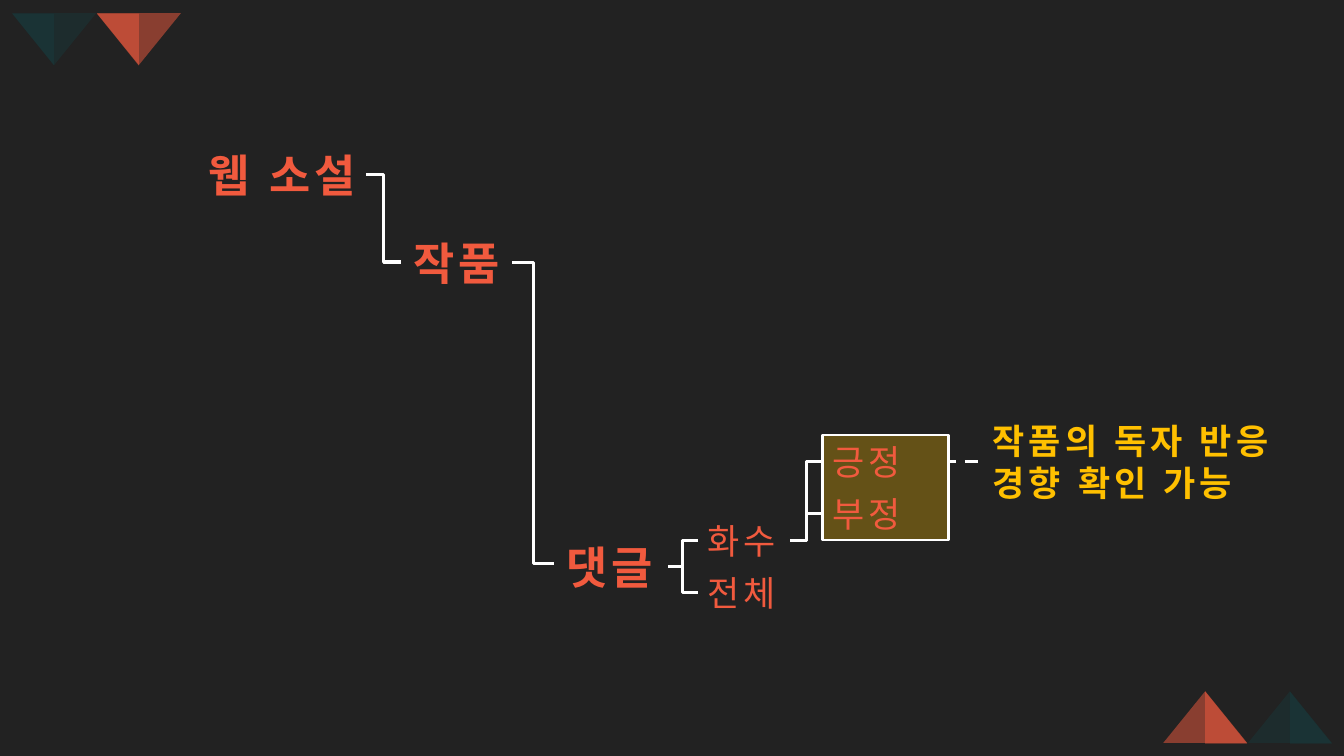
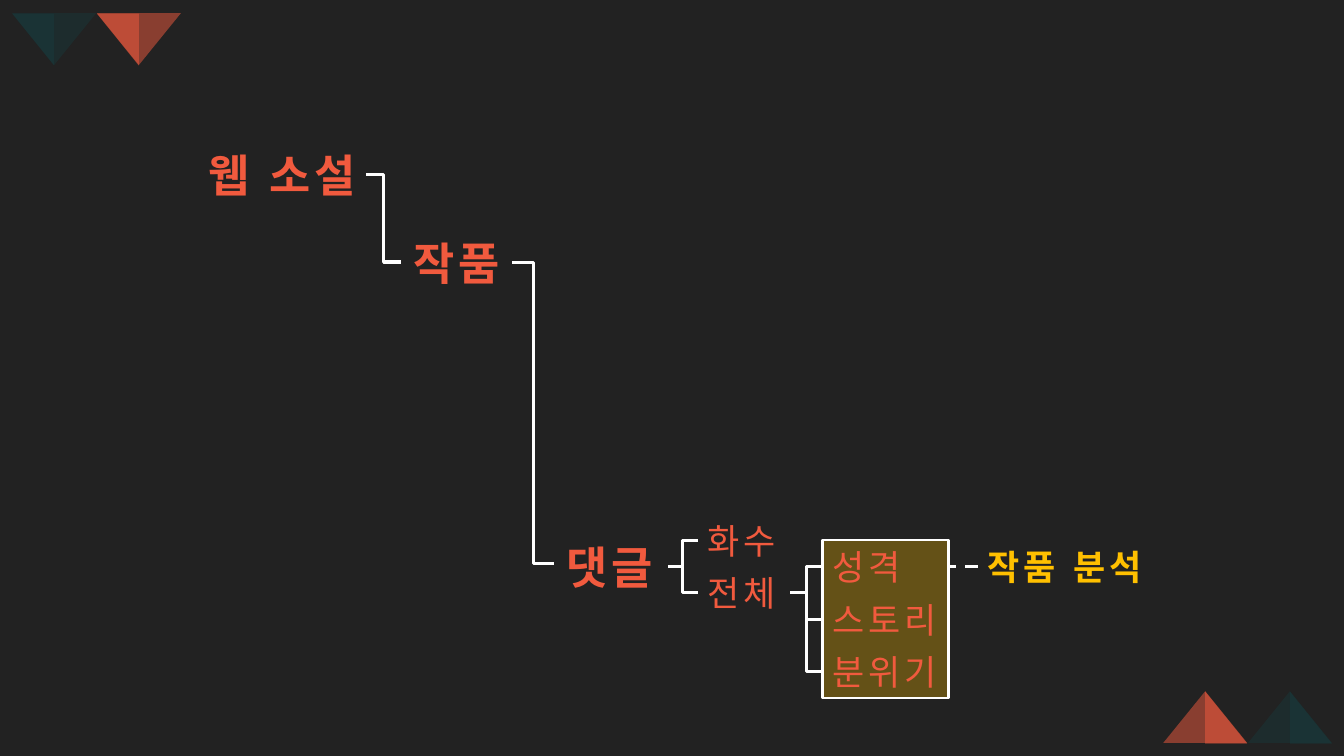
from dataclasses import dataclass

from lxml import etree
from pptx import Presentation
from pptx.dml.color import RGBColor
from pptx.enum.dml import MSO_LINE
from pptx.enum.shapes import MSO_CONNECTOR, MSO_SHAPE
from pptx.enum.text import MSO_ANCHOR, MSO_AUTO_SIZE, PP_ALIGN
from pptx.oxml.ns import qn
from pptx.slide import Slide
from pptx.util import Pt

TRIANGLE = MSO_SHAPE.ISOSCELES_TRIANGLE
RIGHT_TRIANGLE = MSO_SHAPE.RIGHT_TRIANGLE
RECTANGLE = MSO_SHAPE.RECTANGLE
ELBOW = MSO_CONNECTOR.ELBOW
STRAIGHT = MSO_CONNECTOR.STRAIGHT
DASH = MSO_LINE.DASH
MIDDLE = MSO_ANCHOR.MIDDLE
FIT_SHAPE = MSO_AUTO_SIZE.SHAPE_TO_FIT_TEXT
LEFT, CENTER, RIGHT = PP_ALIGN.LEFT, PP_ALIGN.CENTER, PP_ALIGN.RIGHT


@dataclass(frozen=True)
class Theme:
    background: RGBColor = RGBColor(0x22, 0x22, 0x22)
    coral: RGBColor = RGBColor(0xF1, 0x5A, 0x3E)
    teal: RGBColor = RGBColor(0x19, 0x37, 0x39)
    gold: RGBColor = RGBColor(0xFF, 0xC0, 0x00)
    white: RGBColor = RGBColor(0xFF, 0xFF, 0xFF)
    font: str = "Roboto"
    work_font: str = "Calibri"
    branch_size: float = 32
    leaf_size: float = 25
    letter_spacing: int = 300
    link_width: float = 2.25
    frame_width: float = 1.5


THEME = Theme()

ROW = 37.6
BRANCH_HEIGHT = 46
COMMENT_Y = 404.6
EPISODE_Y = COMMENT_Y - ROW / 2
WHOLE_Y = COMMENT_Y + ROW / 2
NOVEL_Y, WORK_Y = 124.6, 187.2
GROUP_LEFT, GROUP_WIDTH = 587.5, 90
GROUP_RIGHT = GROUP_LEFT + GROUP_WIDTH
TRUNK_X = 564.5
FINDING_LINK_X = 698.4


@dataclass(frozen=True)
class TextStyle:
    size: float
    color: RGBColor
    bold: bool = False
    font: str = THEME.font


BRANCH = TextStyle(THEME.branch_size, THEME.coral, True)
WORK = TextStyle(THEME.branch_size, THEME.coral, True, THEME.work_font)
LEAF = TextStyle(THEME.leaf_size, THEME.coral)
FINDING = TextStyle(THEME.leaf_size, THEME.gold, True)


@dataclass(frozen=True)
class Label:
    text: str
    left: float
    middle: float
    width: float
    height: float
    style: TextStyle
    align: PP_ALIGN = LEFT
    wrap: bool = True


@dataclass(frozen=True)
class Link:
    start_x: float
    start_y: float
    end_x: float
    end_y: float


@dataclass(frozen=True)
class Pyramid:
    left: float
    top: float
    color: RGBColor
    half_opacity: int
    pointing_down: bool


@dataclass(frozen=True)
class Analysis:
    source_y: float
    top: float
    aspects: tuple[str, ...]
    finding: Label


PYRAMIDS = [
    Pyramid(69.2, 9.4, THEME.coral, 50, True),
    Pyramid(8.7, 9.4, THEME.teal, 70, True),
    Pyramid(830.9, 493.7, THEME.coral, 50, False),
    Pyramid(891.4, 493.7, THEME.teal, 70, False),
]

TREE_LABELS = [
    Label("웹 소설", 138.3, NOVEL_Y, 123.1, BRANCH_HEIGHT, BRANCH, RIGHT),
    Label("작품", 286.6, WORK_Y, 79.2, BRANCH_HEIGHT, WORK, CENTER, False),
    Label("댓글", 397.5, COMMENT_Y, 79.9, BRANCH_HEIGHT, BRANCH),
    Label("화수", 498.2, EPISODE_Y, 66.2, ROW, LEAF),
    Label("전체", 498.2, WHOLE_Y, 66.2, ROW, LEAF),
]

TREE_LINKS = [
    Link(261.4, NOVEL_Y, 286.6, WORK_Y),
    Link(365.8, WORK_Y, 396, 402.5),
    Link(477.2, COMMENT_Y, 498.4, EPISODE_Y),
    Link(477.2, COMMENT_Y, 498.4, WHOLE_Y),
]

ANALYSES = [
    Analysis(
        EPISODE_Y,
        EPISODE_Y - 2 * ROW,
        ("긍정", "부정"),
        Label("작품의 독자 반응\n경향 확인 가능", 702, 329.8, 241.2, 67.7, FINDING),
    ),
    Analysis(
        WHOLE_Y,
        EPISODE_Y,
        ("성격", "스토리", "분위기"),
        Label("작품 분석", 698.4, COMMENT_Y, 124.5, ROW, FINDING),
    ),
]


def add_filled(slide: Slide, kind: MSO_SHAPE, left: float, top: float, width: float,
               height: float, color: RGBColor, opacity: int):
    shape = slide.shapes.add_shape(kind, Pt(left), Pt(top), Pt(width), Pt(height))
    shape.shadow.inherit = False
    shape.fill.solid()
    shape.fill.fore_color.rgb = color
    shape.line.fill.background()
    tone = shape._element.spPr.find(qn("a:solidFill"))[0]
    etree.SubElement(tone, qn("a:alpha"), val=str(opacity * 1000))
    return shape


def add_pyramid(slide: Slide, pyramid: Pyramid) -> None:
    half_left = pyramid.left if pyramid.pointing_down else pyramid.left + 30
    rotation = 180 if pyramid.pointing_down else 0
    whole = add_filled(slide, TRIANGLE, pyramid.left, pyramid.top, 60, 37,
                       pyramid.color, 50)
    half = add_filled(slide, RIGHT_TRIANGLE, half_left, pyramid.top + 0.3, 30, 37.2,
                      pyramid.color, pyramid.half_opacity)
    whole.rotation = half.rotation = rotation


def add_label(slide: Slide, label: Label) -> None:
    box = slide.shapes.add_textbox(Pt(label.left), Pt(label.middle - label.height / 2),
                                   Pt(label.width), Pt(label.height))
    frame = box.text_frame
    frame.word_wrap = label.wrap
    frame.auto_size = FIT_SHAPE
    frame.vertical_anchor = MIDDLE
    frame.text = label.text
    for paragraph in frame.paragraphs:
        paragraph.alignment = label.align
        for run in paragraph.runs:
            run.font.size = Pt(label.style.size)
            run.font.bold = label.style.bold
            run.font.color.rgb = label.style.color
            run.font.name = label.style.font
            properties = run.font._element
            properties.set("spc", str(THEME.letter_spacing))
            etree.SubElement(properties, qn("a:ea"), typeface=label.style.font)


def add_link(slide: Slide, link: Link, kind: MSO_CONNECTOR = ELBOW):
    connector = slide.shapes.add_connector(kind, Pt(link.start_x), Pt(link.start_y),
                                           Pt(link.end_x), Pt(link.end_y))
    connector.line.color.rgb = THEME.white
    connector.line.width = Pt(THEME.link_width)
    etree.SubElement(connector._element.spPr, qn("a:effectLst"))
    return connector


def add_analysis(slide: Slide, analysis: Analysis) -> None:
    group = add_filled(slide, RECTANGLE, GROUP_LEFT, analysis.top, GROUP_WIDTH,
                       ROW * len(analysis.aspects), THEME.gold, 30)
    group.line.color.rgb = THEME.white
    group.line.width = Pt(THEME.frame_width)
    first_middle = analysis.top + ROW / 2
    for index, aspect in enumerate(analysis.aspects):
        middle = first_middle + index * ROW
        add_label(slide, Label(aspect, GROUP_LEFT, middle, GROUP_WIDTH, ROW, LEAF))
        add_link(slide, Link(TRUNK_X, analysis.source_y, GROUP_LEFT, middle))
    pointer = add_link(
        slide, Link(FINDING_LINK_X, first_middle, GROUP_RIGHT, first_middle), STRAIGHT)
    pointer.line.dash_style = DASH
    add_label(slide, analysis.finding)


def main() -> None:
    deck = Presentation()
    deck.slide_width, deck.slide_height = Pt(960), Pt(540)
    backdrop = deck.slide_master.background.fill
    backdrop.solid()
    backdrop.fore_color.rgb = THEME.background
    blank = deck.slide_layouts[6]
    for analysis in ANALYSES:
        slide = deck.slides.add_slide(blank)
        for pyramid in PYRAMIDS:
            add_pyramid(slide, pyramid)
        for label in TREE_LABELS:
            add_label(slide, label)
        for link in TREE_LINKS:
            add_link(slide, link)
        add_analysis(slide, analysis)
    deck.save("out.pptx")


if __name__ == "__main__":
    main()
